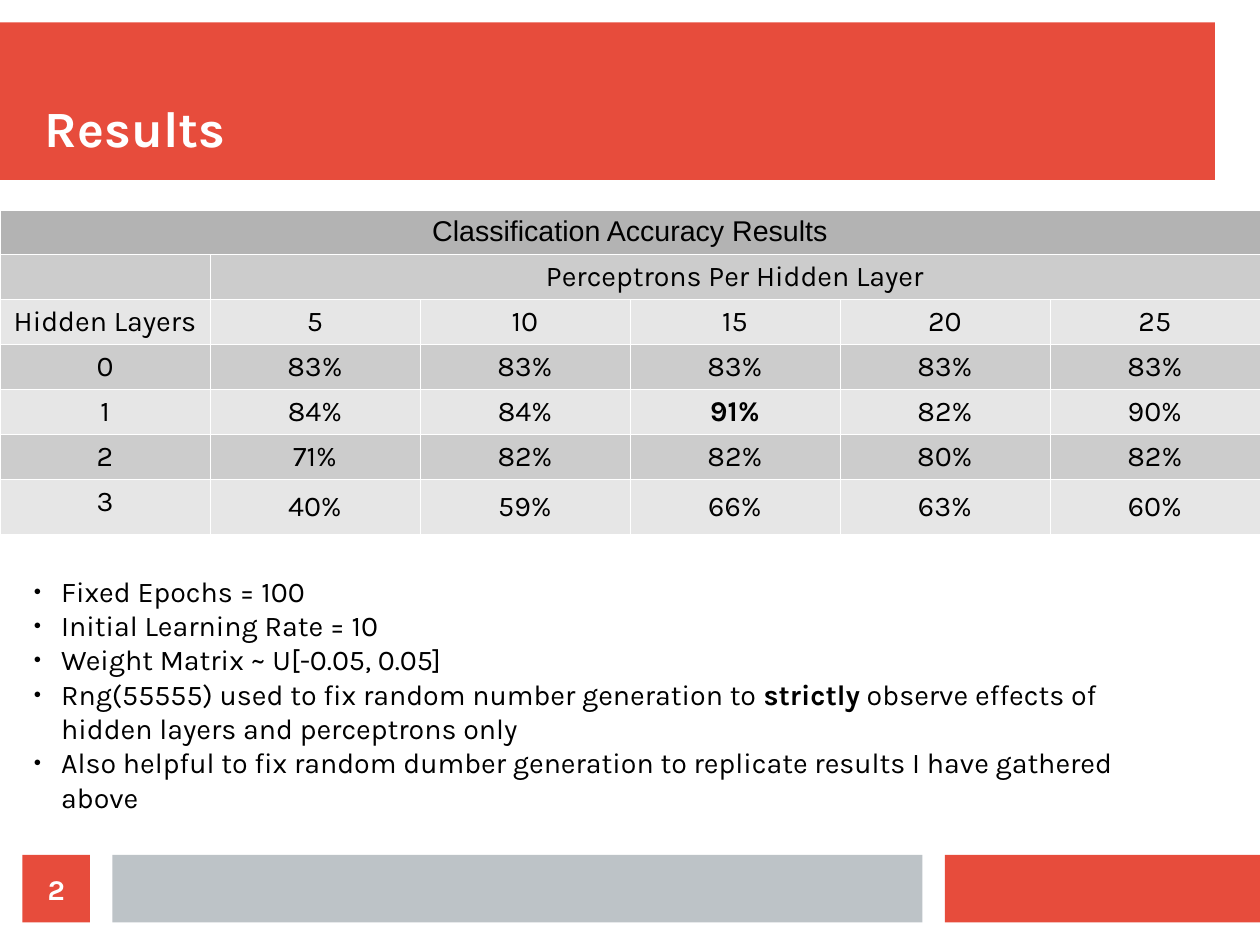
import lxml.etree
import pptx
import pptx.dml.color
import pptx.enum.shapes
import pptx.enum.text
import pptx.oxml.ns
import pptx.util

WIDTH, HEIGHT = pptx.util.Cm(28), pptx.util.Cm(21)
COLUMNS, ROWS = 56, 42
RED, GREY, WHITE, BLACK = "E74C3C", "BDC3C7", "FFFFFF", "000000"
HEADING_FILL, DARK_BAND, LIGHT_BAND = "B3B3B3", "CCCCCC", "E6E6E6"
ALIGN = pptx.enum.text.PP_ALIGN
ANCHOR = pptx.enum.text.MSO_ANCHOR

RESULTS = [
    ["Hidden Layers", "5", "10", "15", "20", "25"],
    ["0", "83%", "83%", "83%", "83%", "83%"],
    ["1", "84%", "84%", "91%", "82%", "90%"],
    ["2", "71%", "82%", "82%", "80%", "82%"],
    ["3", "40%", "59%", "66%", "63%", "60%"],
]
BEST_RESULT = "91%"
NOTES = [
    ["Fixed Epochs = 100"],
    ["Initial Learning Rate = 10"],
    ["Weight Matrix ~ U[-0.05, 0.05]"],
    ["Rng(55555) used to fix random number generation to ", "strictly",
     " observe effects of hidden layers and perceptrons only"],
    ["Also helpful to fix random dumber generation to replicate results I have gathered above"],
]


def color(value):
    return pptx.dml.color.RGBColor.from_string(value)


def grid_box(column, row, columns, rows):
    """Turn grid units into left, top, width and height."""
    return (round(column * WIDTH / COLUMNS), round(row * HEIGHT / ROWS),
            round(columns * WIDTH / COLUMNS), round(rows * HEIGHT / ROWS))


def style_paragraph(paragraph, size=18, ink=BLACK, bold=None, name="Karla", align=ALIGN.LEFT):
    paragraph.alignment = align
    font = paragraph.font
    font.size, font.name, font.bold = pptx.util.Pt(size), name, bold
    font.color.rgb = color(ink)


def clear_margins(frame):
    frame.margin_left = frame.margin_right = frame.margin_top = frame.margin_bottom = 0


def add_xml(parent, tag, **attributes):
    return lxml.etree.SubElement(parent, pptx.oxml.ns.qn(tag), **attributes)


def add_block(slide, fill, *box):
    block = slide.shapes.add_shape(pptx.enum.shapes.MSO_SHAPE.RECTANGLE, *grid_box(*box))
    block.shadow.inherit = False
    block.fill.solid()
    block.fill.fore_color.rgb = color(fill)
    block.line.fill.background()
    return block


def format_title(slide, text, *box):
    title = slide.shapes.title
    title.left, title.top, title.width, title.height = grid_box(*box)
    frame = title.text_frame
    frame.text = text
    frame.vertical_anchor = ANCHOR.BOTTOM
    clear_margins(frame)
    style_paragraph(frame.paragraphs[0], 32, WHITE, True)


def format_cell(cell, text, fill, name="Karla", anchor=ANCHOR.TOP):
    cell.text = text
    cell.vertical_anchor = anchor
    style_paragraph(cell.text_frame.paragraphs[0], bold=text == BEST_RESULT,
                    name=name, align=ALIGN.CENTER)
    properties = cell._tc.get_or_add_tcPr()
    for side in ("a:lnL", "a:lnR", "a:lnT", "a:lnB"):
        line = add_xml(properties, side, w="720")
        add_xml(add_xml(line, "a:solidFill"), "a:srgbClr", val=WHITE)
    cell.fill.solid()
    cell.fill.fore_color.rgb = color(fill)


def add_results_table(slide, *box):
    row_count, column_count = len(RESULTS) + 2, len(RESULTS[0])
    table = slide.shapes.add_table(row_count, column_count, *grid_box(*box)).table
    table.first_row = table.horz_banding = False
    for row in table.rows:
        row.height = pptx.util.Inches(0.39)
    table.rows[row_count - 1].height = pptx.util.Inches(0.48)

    table.cell(0, 0).merge(table.cell(0, column_count - 1))
    table.cell(1, 1).merge(table.cell(1, column_count - 1))
    format_cell(table.cell(0, 0), "Classification Accuracy Results", HEADING_FILL, "Arial")
    format_cell(table.cell(1, 0), "", DARK_BAND)
    format_cell(table.cell(1, 1), "Perceptrons Per Hidden Layer", DARK_BAND)
    for row, values in enumerate(RESULTS, start=2):
        fill = DARK_BAND if row % 2 else LIGHT_BAND
        for column, text in enumerate(values):
            anchor = ANCHOR.MIDDLE if column else ANCHOR.TOP
            format_cell(table.cell(row, column), text, fill, anchor=anchor)


def add_bullet(paragraph):
    properties = paragraph._p.get_or_add_pPr()
    indent = pptx.util.Inches(0.24)
    properties.set("marL", str(indent))
    properties.set("indent", str(-indent))
    add_xml(add_xml(properties, "a:buClr"), "a:srgbClr", val=BLACK)
    add_xml(properties, "a:buSzPct", val="45000")
    add_xml(properties, "a:buFont", typeface="Arial")
    add_xml(properties, "a:buChar", char="●")


def add_notes(slide, *box):
    frame = slide.shapes.add_textbox(*grid_box(*box)).text_frame
    frame.word_wrap = True
    for index, parts in enumerate(NOTES):
        paragraph = frame.add_paragraph() if index else frame.paragraphs[0]
        add_bullet(paragraph)
        style_paragraph(paragraph)
        for text in parts:
            run = paragraph.add_run()
            run.text = text
            if text == "strictly":
                run.font.bold = True


def add_slide_number(slide, text, *box):
    frame = add_block(slide, RED, *box).text_frame
    frame.text = text
    frame.vertical_anchor = ANCHOR.MIDDLE
    clear_margins(frame)
    style_paragraph(frame.paragraphs[0], ink=WHITE, bold=True, align=ALIGN.CENTER)


def main():
    presentation = pptx.Presentation()
    presentation.slide_width, presentation.slide_height = WIDTH, HEIGHT
    slide = presentation.slides.add_slide(presentation.slide_layouts[5])

    header = add_block(slide, RED, 0, 1, 54, 7)
    slide.shapes.title.element.addprevious(header.element)
    add_block(slide, RED, 42, 38, 14, 3)
    add_block(slide, GREY, 5, 38, 36, 3)
    format_title(slide, "Results", 2, 2, 52, 5)
    add_results_table(slide, 0, 9.33, COLUMNS, 14.17)
    add_notes(slide, 1, 25.25, 49.8, 12.6)
    add_slide_number(slide, "2", 1, 38, 3, 3)
    presentation.save("out.pptx")


if __name__ == "__main__":
    main()
